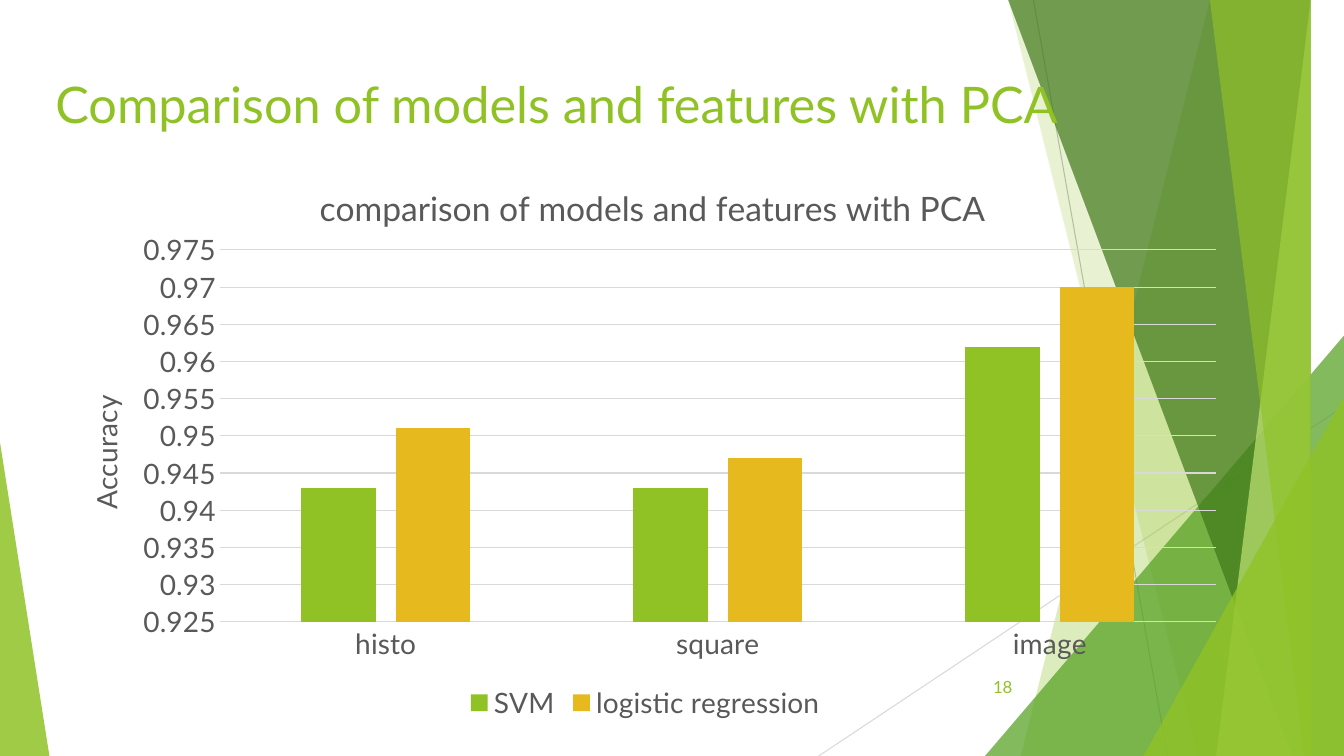
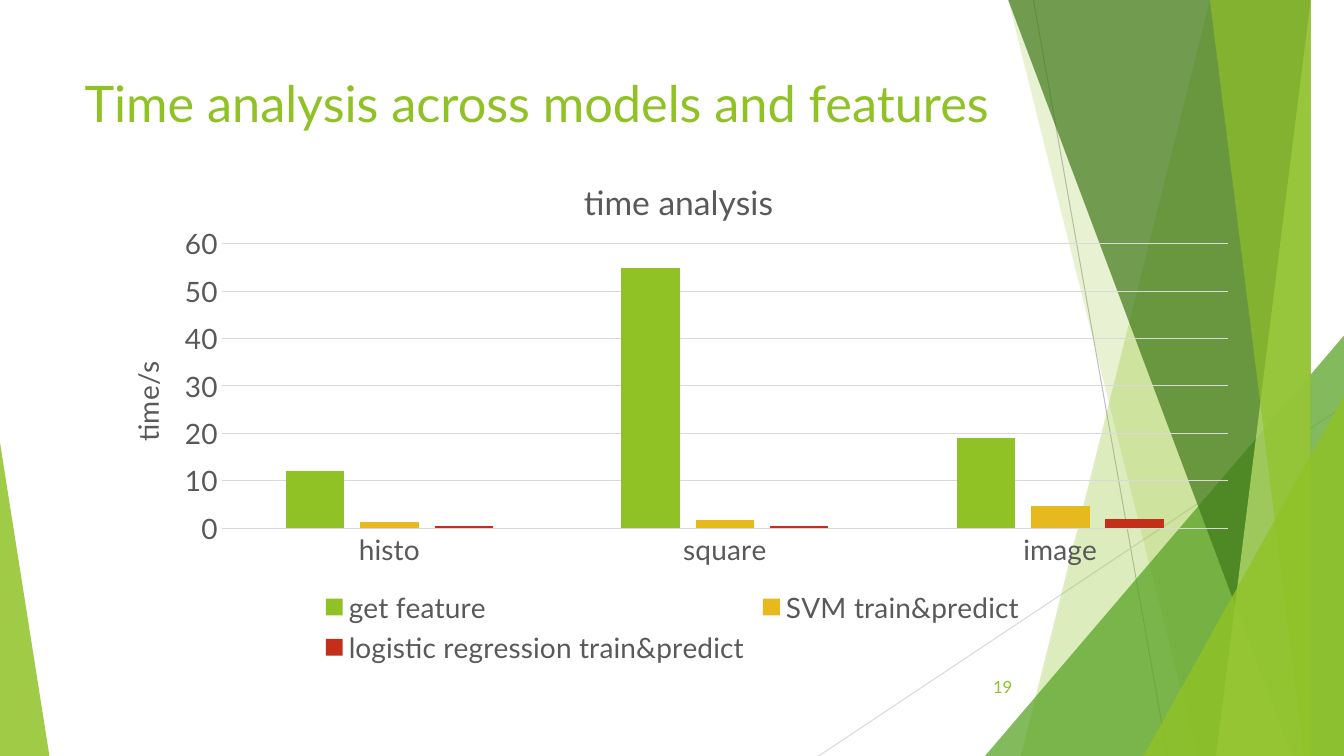
from dataclasses import dataclass

from lxml import etree
from pptx import Presentation
from pptx.chart.data import CategoryChartData
from pptx.dml.color import RGBColor
from pptx.enum.chart import XL_CHART_TYPE, XL_LEGEND_POSITION, XL_TICK_MARK
from pptx.enum.shapes import MSO_CONNECTOR, MSO_SHAPE
from pptx.enum.text import MSO_ANCHOR, PP_ALIGN
from pptx.oxml.ns import qn
from pptx.util import Inches, Pt

CLUSTERED = XL_CHART_TYPE.COLUMN_CLUSTERED
LEGEND_BOTTOM = XL_LEGEND_POSITION.BOTTOM
NO_TICK = XL_TICK_MARK.NONE
STRAIGHT = MSO_CONNECTOR.STRAIGHT
TRIANGLE = MSO_SHAPE.ISOSCELES_TRIANGLE
TOP, MIDDLE = MSO_ANCHOR.TOP, MSO_ANCHOR.MIDDLE
LEFT, RIGHT = PP_ALIGN.LEFT, PP_ALIGN.RIGHT

WIDTH, HEIGHT = 13.33, 7.5


@dataclass(frozen=True)
class Theme:
    font: str = "Lato"
    lime: str = "90C226"
    leaf: str = "54A021"
    forest: str = "3F7819"
    pale: str = "C0E474"
    gold: str = "E6B91E"
    red: str = "C42F1A"
    ink: str = "595959"
    rule: str = "D9D9D9"
    dark_rule: str = "BFBFBF"
    heading: int = 36
    chart_heading: int = 24
    label: int = 20
    page: int = 12
    hairline: float = 0.75


THEME = Theme()

PCA_SLIDE = {
    "heading": "Comparison of models and features with PCA",
    "heading_box": (0.45, 0.68, 10.42, 1.44),
    "page": "18",
    "chart_box": (0.5, 1.53, 11.8, 5.67),
    "plot_box": (1.68, 0.95, 9.88, 3.69),
    "chart_heading": "comparison of models and features with PCA",
    "chart_heading_at": (2.61, 0.23),
    "unit": "Accuracy",
    "unit_at": (0.3, 2.34),
    "scale": {"minimum_scale": 0.925, "maximum_scale": 0.975, "major_unit": 0.005},
    "series": [
        ("SVM", (0.943, 0.943, 0.962), THEME.lime),
        ("logistic regression", (0.951, 0.947, 0.97), THEME.gold),
    ],
}

TIME_SLIDE = {
    "heading": "Time analysis across models and features",
    "heading_box": (0.74, 0.67, 9.84, 1.44),
    "page": "19",
    "chart_box": (0.92, 1.48, 11.5, 5.17),
    "plot_box": (1.28, 0.94, 9.98, 2.82),
    "chart_heading": "time analysis",
    "chart_heading_at": (4.81, 0.22),
    "unit": "time/s",
    "unit_at": (0.29, 2.05),
    "scale": {"minimum_scale": 0, "maximum_scale": 60, "major_unit": 10},
    "series": [
        ("get feature", (12, 55, 19), THEME.lime),
        ("SVM train&predict", (1.2, 1.6, 4.6), THEME.gold),
        ("logistic regression train&predict", (0.4, 0.4, 1.9), THEME.red),
    ],
}

FEATURES = ("histo", "square", "image")


def apply(target, values):
    for name, value in values.items():
        setattr(target, name, value)


def style_font(font, size, color):
    apply(font, {"name": THEME.font, "size": Pt(size), "bold": False})
    font.color.rgb = RGBColor.from_string(color)


def style_line(line, color):
    line.width = Pt(THEME.hairline)
    line.color.rgb = RGBColor.from_string(color)


def tint(shape, color, opacity):
    shape.shadow.inherit = False
    shape.fill.solid()
    shape.fill.fore_color.rgb = RGBColor.from_string(color)
    shape.line.fill.background()
    fill_color = shape.element.find(".//" + qn("a:srgbClr"))
    etree.SubElement(fill_color, qn("a:alpha")).set("val", str(opacity * 1000))


def add_ray(slide, start, end, color):
    ray = slide.shapes.add_connector(STRAIGHT, *map(Inches, start + end))
    style_line(ray.line, color)
    etree.SubElement(ray.element.spPr, qn("a:effectLst"))


def add_band(slide, top_x, bottom_x, color, opacity):
    outline = slide.shapes.build_freeform(top_x, 0, scale=Inches(1))
    outline.add_line_segments([(WIDTH, 0), (WIDTH, HEIGHT), (bottom_x, HEIGHT)])
    tint(outline.convert_to_shape(), color, opacity)


def add_corner(slide, left, right, top, peak, color, opacity):
    corner = slide.shapes.add_shape(
        TRIANGLE, *map(Inches, (left, top, right - left, HEIGHT - top)))
    corner.adjustments[0] = peak
    tint(corner, color, opacity)


def add_facets(slide):
    add_ray(slide, (10.25, 0), (11.58, HEIGHT), THEME.dark_rule)
    add_ray(slide, (WIDTH, 4.03), (8.12, HEIGHT), THEME.rule)
    add_band(slide, 12.28, 10.04, THEME.lime, 30)
    add_band(slide, 10.5, 11.83, THEME.lime, 20)
    add_corner(slide, 9.77, WIDTH, 3.33, 1, THEME.leaf, 72)
    add_band(slide, 10.21, 12.91, THEME.forest, 70)
    add_band(slide, 13.03, 11.92, THEME.pale, 70)
    add_band(slide, 11.96, 13.18, THEME.lime, 65)
    add_corner(slide, 11.34, WIDTH, 3.93, 1, THEME.lime, 80)
    add_corner(slide, 0, 0.49, 4.39, 0, THEME.lime, 85)


def add_text(slide, box, text, size, anchor, align):
    frame = slide.shapes.add_textbox(*map(Inches, box)).text_frame
    apply(frame, {"word_wrap": True, "vertical_anchor": anchor})
    paragraph = frame.paragraphs[0]
    paragraph.alignment = align
    run = paragraph.add_run()
    run.text = text
    style_font(run.font, size, THEME.lime)


def place_in_chart(element, index, place, chart_box, inner=False):
    for old_layout in element.findall(qn("c:layout")):
        element.remove(old_layout)
    layout = etree.Element(qn("c:layout"))
    element.insert(index, layout)
    manual = etree.SubElement(layout, qn("c:manualLayout"))
    entries = [("layoutTarget", "inner")] if inner else []
    entries += [("xMode", "edge"), ("yMode", "edge")]
    sizes = chart_box[2:] * 2
    entries += [(key, str(round(length / whole, 4)))
                for key, length, whole in zip("xywh", place, sizes)]
    for key, value in entries:
        etree.SubElement(manual, qn("c:" + key)).set("val", value)


def write_chart_title(title, text, size, place, chart_box):
    run = title.text_frame.paragraphs[0].add_run()
    run.text = text
    style_font(run.font, size, THEME.ink)
    place_in_chart(title.element, 1, place, chart_box)


def style_axes(chart, content):
    features, values = chart.category_axis, chart.value_axis
    for axis in (features, values):
        apply(axis, {"major_tick_mark": NO_TICK, "minor_tick_mark": NO_TICK})
        style_font(axis.tick_labels.font, THEME.label, THEME.ink)
    style_line(features.format.line, THEME.rule)
    apply(values, content["scale"])
    apply(values.tick_labels,
          {"number_format": "General", "number_format_is_linked": False})
    values.format.line.fill.background()
    style_line(values.major_gridlines.format.line, THEME.rule)
    unit = values.axis_title
    write_chart_title(unit, content["unit"], THEME.label,
                      content["unit_at"], content["chart_box"])
    unit.element.find(".//" + qn("a:bodyPr")).set("rot", "-5400000")


def add_column_chart(slide, content):
    box = content["chart_box"]
    data = CategoryChartData()
    data.categories = FEATURES
    for name, values, _ in content["series"]:
        data.add_series(name, values)
    chart = slide.shapes.add_chart(CLUSTERED, *map(Inches, box), data).chart
    style_font(chart.font, THEME.label, THEME.ink)
    write_chart_title(chart.chart_title, content["chart_heading"],
                      THEME.chart_heading, content["chart_heading_at"], box)
    plot = chart.plots[0]
    apply(plot, {"gap_width": 219, "overlap": -27, "vary_by_categories": False})
    for series, (_, _, color) in zip(plot.series, content["series"]):
        series.format.fill.solid()
        series.format.fill.fore_color.rgb = RGBColor.from_string(color)
    style_axes(chart, content)
    chart.has_legend = True
    apply(chart.legend, {"position": LEGEND_BOTTOM, "include_in_layout": False})
    style_font(chart.legend.font, THEME.label, THEME.ink)
    plot_area = chart.element.find(".//" + qn("c:plotArea"))
    place_in_chart(plot_area, 0, content["plot_box"], box, inner=True)


def add_chart_slide(deck, content):
    slide = deck.slides.add_slide(deck.slide_layouts[6])
    add_facets(slide)
    add_text(slide, content["heading_box"], content["heading"],
             THEME.heading, TOP, LEFT)
    add_text(slide, (9.39, 6.61, 0.75, 0.4), content["page"],
             THEME.page, MIDDLE, RIGHT)
    add_column_chart(slide, content)


def main():
    deck = Presentation()
    apply(deck, {"slide_width": Inches(WIDTH), "slide_height": Inches(HEIGHT)})
    for content in (PCA_SLIDE, TIME_SLIDE):
        add_chart_slide(deck, content)
    deck.save("out.pptx")


if __name__ == "__main__":
    main()
